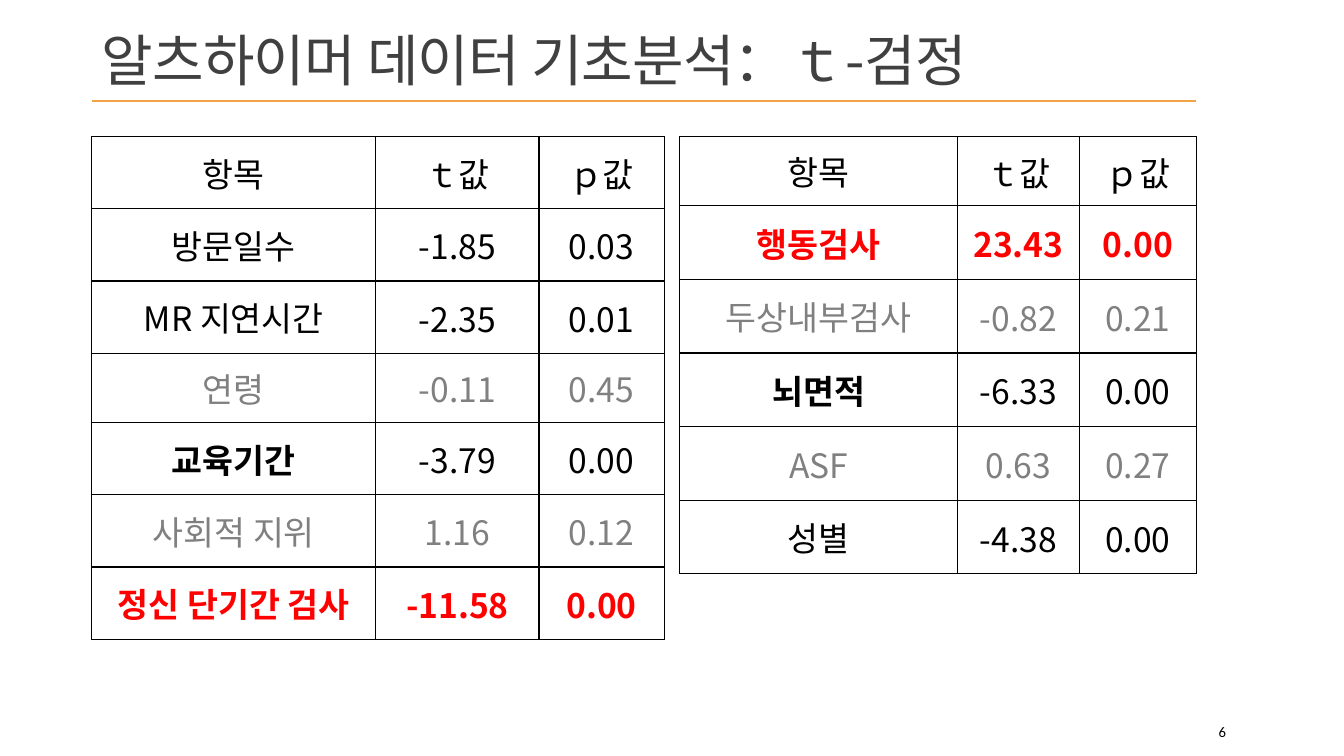
from lxml.etree import SubElement
from pptx import Presentation
from pptx.dml.color import RGBColor
from pptx.enum.shapes import MSO_CONNECTOR
from pptx.enum.text import MSO_ANCHOR as ANCHOR, PP_ALIGN as ALIGN
from pptx.oxml import parse_xml
from pptx.oxml.ns import nsdecls, qn
from pptx.util import Pt

COLORS = {"title": "404040", "rule": "F3A447", "normal": "000000",
          "muted": "808080", "strong": "FF0000"}
KOREAN = "Noto Sans CJK JP"


def style(paragraph, size, color, face=KOREAN, bold=False):
    font = paragraph.font
    font.size, font.name, font.bold = Pt(size), face, bold
    font.color.rgb = RGBColor.from_string(COLORS[color])
    properties = paragraph._p.pPr.find(qn("a:defRPr"))
    SubElement(properties, qn("a:ea"), typeface=face)
    return properties


def add_text(left, top, width, height, text, anchor):
    frame = slide.shapes.add_textbox(Pt(left), Pt(top), Pt(width), Pt(height)).text_frame
    frame.word_wrap = True
    frame.vertical_anchor = anchor
    frame.text = text
    return frame.paragraphs[0]


prs = Presentation()
prs.slide_width, prs.slide_height = Pt(960), Pt(540)
slide = prs.slides.add_slide(prs.slide_layouts[6])

title = add_text(65.5, -23.75, 789, 93.5, "알츠하이머 데이터 기초분석：ｔ-검정", ANCHOR.BOTTOM)
title.line_spacing = 0.85
style(title, 40, "title").set("spc", "-50")

header = ("항목", "ｔ값", "ｐ값", "normal", "")
left_rows = [
    header,
    ("방문일수", "-1.85", "0.03", "normal", ""),
    ("MR 지연시간", "-2.35", "0.01", "normal", ""),
    ("연령", "-0.11", "0.45", "muted", ""),
    ("교육기간", "-3.79", "0.00", "normal", "name"),
    ("사회적 지위", "1.16", "0.12", "muted", ""),
    ("정신 단기간 검사", "-11.58", "0.00", "strong", "row"),
]
right_rows = [
    header,
    ("행동검사", "23.43", "0.00", "strong", "row"),
    ("두상내부검사", "-0.82", "0.21", "muted", ""),
    ("뇌면적", "-6.33", "0.00", "normal", "name"),
    ("ASF", "0.63", "0.27", "muted", ""),
    ("성별", "-4.38", "0.00", "normal", ""),
]
results = [
    (65.5, (203, 116.5, 89.5), [51.6] * 3 + [49.5] + [51.6] * 3, left_rows),
    (485.5, (198.5, 87, 83.5), [49.5] + [52.6] * 5, right_rows),
]

for left, widths, heights, rows in results:
    table = slide.shapes.add_table(len(rows), len(widths), Pt(left), Pt(97.5),
                                   Pt(sum(widths)), Pt(sum(heights))).table
    table.first_row = table.horz_banding = False
    for column, width in zip(table.columns, widths):
        column.width = Pt(width)
    for r, (*values, color, emphasis) in enumerate(rows):
        table.rows[r].height = Pt(heights[r])
        for c, value in enumerate(values):
            cell = table.cell(r, c)
            cell.text = value
            cell.vertical_anchor = ANCHOR.MIDDLE
            cell.fill.background()
            if c > 0:
                cell.margin_left = cell.margin_right = cell.margin_top = Pt(0.75)
                cell.margin_bottom = 0
            paragraph = cell.text_frame.paragraphs[0]
            paragraph.alignment = ALIGN.CENTER
            bold = emphasis == "row" or (emphasis == "name" and c == 0)
            style(paragraph, 24, color, bold=bold)
            for i, side in enumerate("LRTB"):
                cell._tc.tcPr.insert(i, parse_xml(
                    f'<a:ln{side} {nsdecls("a")} w="{Pt(1)}"><a:solidFill>'
                    f'<a:srgbClr val="{COLORS["normal"]}"/></a:solidFill></a:ln{side}>'))

rule = slide.shapes.add_connector(MSO_CONNECTOR.STRAIGHT, Pt(65.5), Pt(72), Pt(854.5), Pt(72))
rule.line.color.rgb = RGBColor.from_string(COLORS["rule"])
rule.line.width = Pt(1.5)
SubElement(rule._element.spPr, qn("a:effectLst"))

page_number = add_text(779.75, 508.25, 103, 28.75, "6", ANCHOR.MIDDLE)
page_number.alignment = ALIGN.RIGHT
style(page_number, 10.5, "normal", "Calibri")

prs.save("out.pptx")
